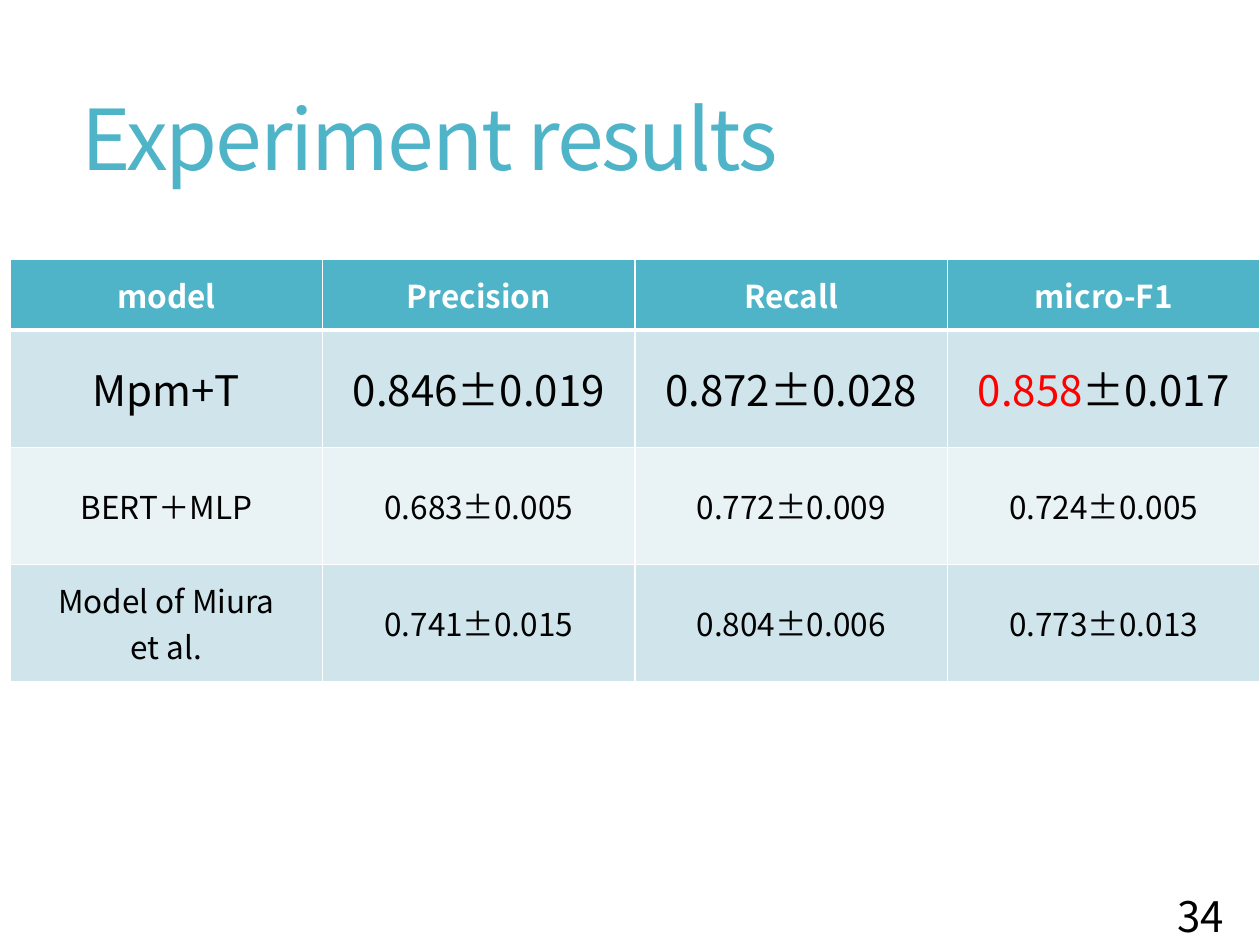
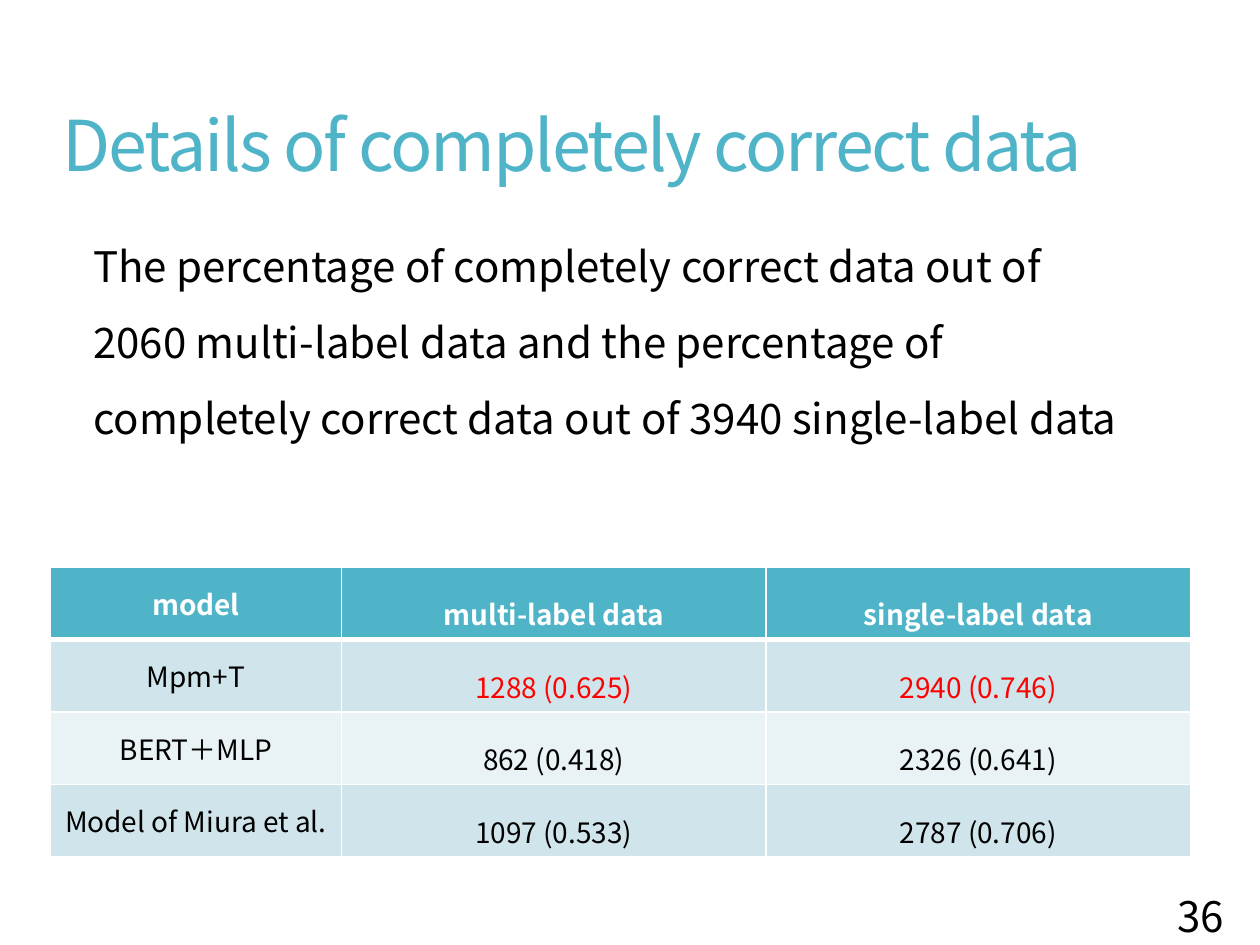
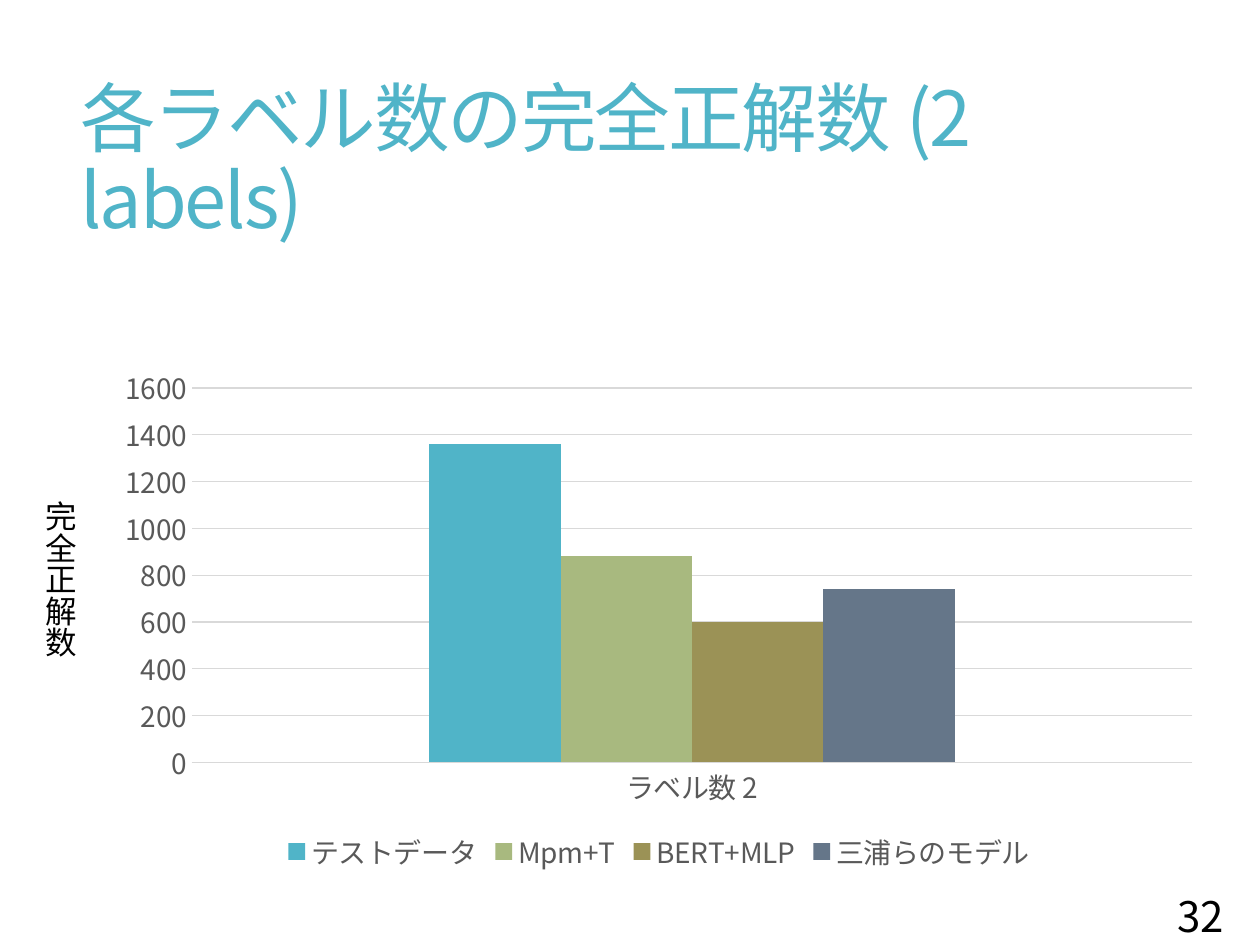
from dataclasses import dataclass
from typing import NamedTuple

from lxml import etree
from pptx import Presentation
from pptx import util as u
from pptx.chart.data import CategoryChartData
from pptx.dml.color import RGBColor
from pptx.enum import chart as charts, text
from pptx.oxml.ns import qn

FONT = "Noto Sans CJK JP"
HUES = {
    "teal": "50B4C8", "green": "A8B97F", "olive": "9B9256", "slate": "657689",
    "pale": "D0E5EB", "mist": "E9F2F5", "white": "FFFFFF", "ink": "000000",
    "red": "FF0000", "gray": "595959", "rule": "D9D9D9",
}
WIDE, TALL = u.Inches(10), u.Inches(7.5)
COLS, ROWS = 100, 75  # layout grid of the slide
MODELS = ["Mpm+T", "BERT＋MLP"]


class Box(NamedTuple):
    """Left, top, width and height in grid columns and rows."""
    col: float
    row: float
    wide: float
    high: float

    def place(self) -> tuple[int, int, int, int]:
        return (across(self.col), down(self.row), across(self.wide), down(self.high))


class Run(NamedTuple):
    words: str
    hue: str = "ink"


@dataclass
class Grid:
    """A table: first row is the header, the others are banded."""
    box: Box
    rows: list[list[list[Run]]]
    high: list[float]
    size: list[float]
    lead: float = 1.0
    tight: bool = True


class Bar(NamedTuple):
    name: str
    count: int
    hue: str


def across(cols: float) -> int:
    return round(WIDE * cols / COLS)


def down(rows: float) -> int:
    return round(TALL * rows / ROWS)


def tint(hue: str) -> RGBColor:
    return RGBColor.from_string(HUES[hue])


def style(font, size: float, hue: str, bold: bool = False) -> None:
    font.name, font.size, font.bold = FONT, u.Pt(size), bold
    font.color.rgb = tint(hue)


def add_run(para, run: Run, size: float, bold: bool = False):
    item = para.add_run()
    item.text = run.words
    style(item.font, size, run.hue, bold)
    return item


def set_asian(root) -> None:
    """Use each Latin font for East Asian letters too."""
    for latin in list(root.iter(qn("a:latin"))):
        east = etree.Element(qn("a:ea"))
        east.set("typeface", latin.get("typeface"))
        latin.addnext(east)


def add_box(slide, box: Box, mid: bool = True, wrap: bool = True):
    frame = slide.shapes.add_textbox(*box.place()).text_frame
    frame.word_wrap = wrap
    frame.vertical_anchor = text.MSO_ANCHOR.MIDDLE if mid else text.MSO_ANCHOR.TOP
    return frame


def add_page(deck, title: str, box: Box, size: float, page: int):
    """Add a slide with its title and page number."""
    slide = deck.slides.add_slide(deck.slide_layouts[6])
    para = add_box(slide, box).paragraphs[0]
    para.line_spacing = 0.9
    item = add_run(para, Run(title, "teal"), size)
    item._r.get_or_add_rPr().set("spc", "-120")
    para = add_box(slide, Box(85.4, 69.8, 12.7, 5.8)).paragraphs[0]
    para.alignment = text.PP_ALIGN.RIGHT
    add_run(para, Run(str(page)), 24)
    return slide


def edge_cell(cell, head: bool) -> None:
    """Draw white borders, with a thick one under the header."""
    props = cell._tc.get_or_add_tcPr()
    for side in "LRTB":
        line = etree.SubElement(props, qn(f"a:ln{side}"))
        line.set("w", str(u.Pt(3 if head and side == "B" else 1)))
        fill = etree.SubElement(line, qn("a:solidFill"))
        etree.SubElement(fill, qn("a:srgbClr")).set("val", HUES["white"])


def add_grid(slide, grid: Grid) -> None:
    count = len(grid.rows[0])
    table = slide.shapes.add_table(len(grid.rows), count, *grid.box.place()).table
    table.horz_banding = False
    for col in table.columns:
        col.width = across(grid.box.wide / count)
    for i, (row, size) in enumerate(zip(grid.rows, grid.size)):
        table.rows[i].height = down(grid.high[i])
        for j, runs in enumerate(row):
            cell = table.cell(i, j)
            edge_cell(cell, i == 0)
            cell.fill.solid()
            cell.fill.fore_color.rgb = tint("teal" if i == 0 else "pale" if i % 2 else "mist")
            if grid.tight:
                cell.vertical_anchor = text.MSO_ANCHOR.MIDDLE
                cell.margin_left = cell.margin_right = across(0.7)
                cell.margin_top = cell.margin_bottom = down(0.4)
            fill_cell(cell.text_frame, runs, size, grid.lead, i == 0)


def fill_cell(frame, runs: list[Run], size: float, lead: float, bold: bool) -> None:
    """Write the runs; a line feed inside a run opens a paragraph."""
    para = frame.paragraphs[0]
    for run in runs:
        for k, line in enumerate(run.words.split("\n")):
            if k:
                para = frame.add_paragraph()
            add_run(para, Run(line, run.hue), size, bold)
    for para in frame.paragraphs:
        para.alignment = text.PP_ALIGN.CENTER
        if lead != 1:
            para.line_spacing = lead


def cells(*words: str, hue: str = "ink") -> list[list[Run]]:
    return [[Run(word, hue)] for word in words]


def add_bars(slide, box: Box, label: str, bars: list[Bar]) -> None:
    data = CategoryChartData()
    data.categories = [label]
    for bar in bars:
        data.add_series(bar.name, [bar.count])
    kind = charts.XL_CHART_TYPE.COLUMN_CLUSTERED
    chart = slide.shapes.add_chart(kind, *box.place(), data).chart
    chart.has_title = False
    style(chart.font, 16, "ink")
    chart.has_legend = True
    chart.legend.position = charts.XL_LEGEND_POSITION.BOTTOM
    chart.legend.include_in_layout = False
    style(chart.legend.font, 16, "gray")

    plot = chart.plots[0]
    plot.gap_width, plot.overlap, plot.vary_by_categories = 362, 0, False
    for bar, series in zip(bars, plot.series):
        series.format.fill.solid()
        series.format.fill.fore_color.rgb = tint(bar.hue)

    level = chart.value_axis
    level.minimum_scale, level.maximum_scale, level.major_unit = 0, 1600, 200
    level.format.line.fill.background()
    for axis in (chart.category_axis, level):
        axis.major_tick_mark = axis.minor_tick_mark = charts.XL_TICK_MARK.NONE
        style(axis.tick_labels.font, 16, "gray")
    for line in (chart.category_axis.format.line, level.major_gridlines.format.line):
        line.color.rgb, line.width = tint("rule"), u.Pt(0.75)
    set_asian(chart._chartSpace)


def show_scores(deck) -> None:
    slide = add_page(deck, "Experiment results", Box(5.5, 3.7, 88.4, 15.4), 48, 34)
    rows = [
        cells("model", "Precision", "Recall", "micro-F1", hue="white"),
        cells(MODELS[0], "0.846±0.019", "0.872±0.028")
        + [[Run("0.858", "red"), Run("±0.017")]],
        cells(MODELS[1], "0.683±0.005", "0.772±0.009", "0.724±0.005"),
        cells("Model of Miura\net al.", "0.741±0.015", "0.804±0.006", "0.773±0.013"),
    ]
    high = [5.6] + [9.3] * 3
    add_grid(slide, Grid(Box(0.8, 20.6, 99.2, sum(high)), rows, high, [18, 24, 18, 18]))


def show_exact(deck) -> None:
    title = "Details of completely correct data"
    slide = add_page(deck, title, Box(4, 5.2, 96.4, 13.2), 40, 36)
    frame = add_box(slide, Box(5.4, 19.2, 93.6, 48.1), mid=False)
    frame.margin_left = across(2)
    lines = [
        "The percentage of completely correct data out of",
        "2060 multi-label data and the percentage of",
        "completely correct data out of 3940 single-label data",
    ]
    for i, line in enumerate(lines):
        para = frame.add_paragraph() if i else frame.paragraphs[0]
        para.line_spacing = 0.85
        para.space_before = u.Pt(19 if i else 0)
        add_run(para, Run(line), 24)

    high, size = [5.75] * 4, [16] * 4
    names = ["model", *MODELS, "Model of Miura et al."]
    rows = [cells(name, hue="ink" if i else "white") for i, name in enumerate(names)]
    add_grid(slide, Grid(Box(4, 45, 23.1, sum(high)), rows, high, size))
    rows = [
        cells("multi-label data", "single-label data", hue="white"),
        cells("1288 (0.625)", "2940 (0.746)", hue="red"),
        cells("862 (0.418)", "2326 (0.641)"),
        cells("1097 (0.533)", "2787 (0.706)"),
    ]
    add_grid(slide, Grid(Box(27.1, 45, 67.4, sum(high)), rows, high, size, 1.5, False))


def show_pairs(deck) -> None:
    title = "各ラベル数の完全正解数 (2 labels)"
    slide = add_page(deck, title, Box(5.4, 5.5, 88.4, 14.9), 43.2, 32)
    add_bars(slide, Box(8.2, 28.4, 88.2, 41.2), "ラベル数 2", [
        Bar("テストデータ", 1360, "teal"),
        Bar("Mpm+T", 880, "green"),
        Bar("BERT+MLP", 600, "olive"),
        Bar("三浦らのモデル", 740, "slate"),
    ])
    frame = add_box(slide, Box(1.8, 38.8, 5, 13.6), mid=False, wrap=False)
    frame.auto_size = text.MSO_AUTO_SIZE.SHAPE_TO_FIT_TEXT
    frame._txBody.bodyPr.set("vert", "eaVert")
    add_run(frame.paragraphs[0], Run("完全正解数"), 18)


def main() -> None:
    deck = Presentation()
    deck.slide_width, deck.slide_height = WIDE, TALL
    for show in (show_scores, show_exact, show_pairs):
        show(deck)
    for slide in deck.slides:
        set_asian(slide.shapes._spTree)
    deck.save("out.pptx")


if __name__ == "__main__":
    main()
